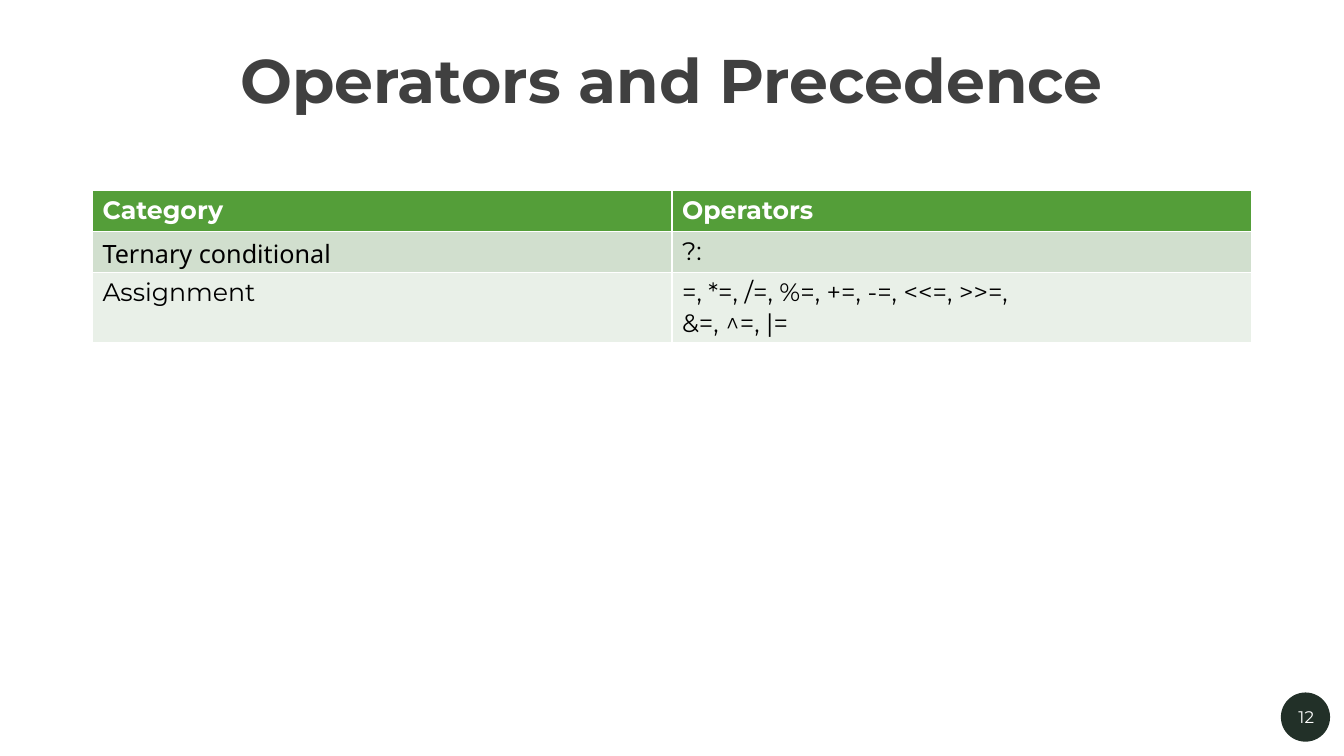
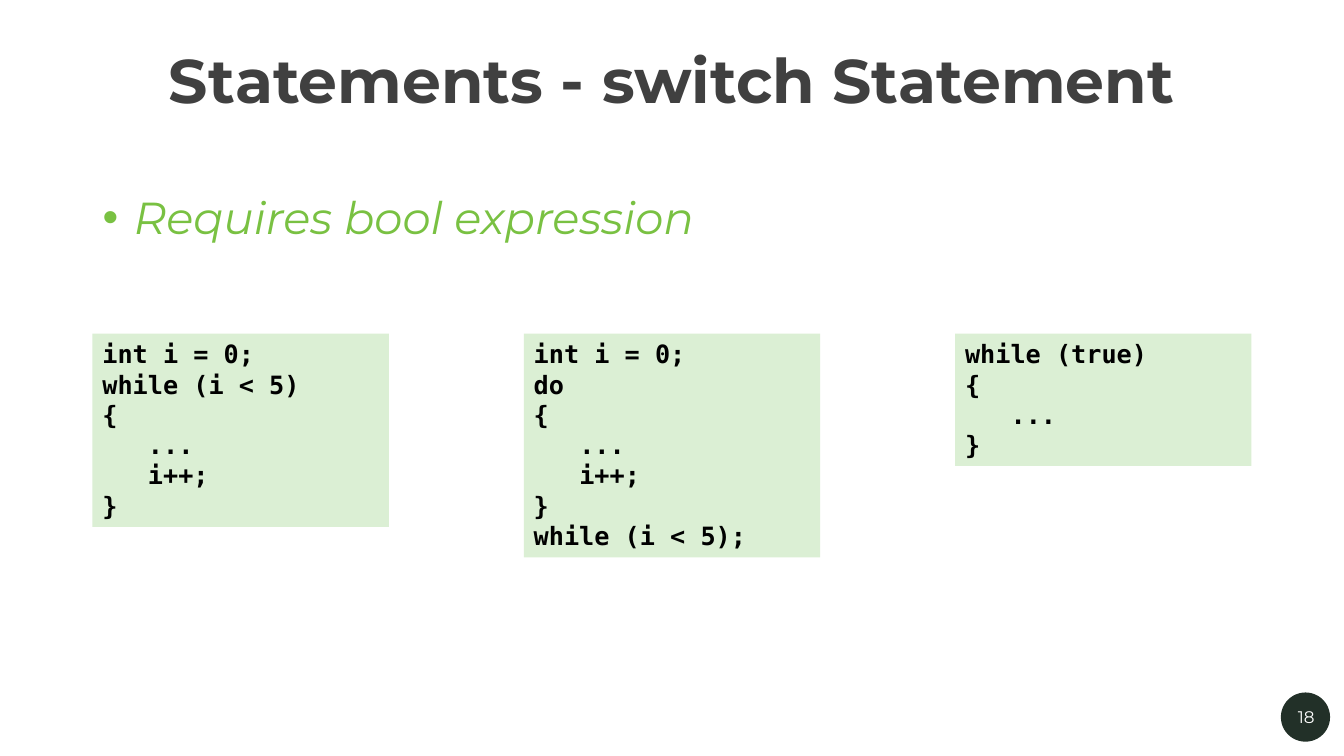
from pptx import Presentation
from pptx.dml.color import RGBColor
from pptx.enum.shapes import MSO_SHAPE
from pptx.enum.text import MSO_ANCHOR, MSO_AUTO_SIZE, PP_ALIGN
from pptx.util import Cm, Pt

RECTANGLE, OVAL = MSO_SHAPE.RECTANGLE, MSO_SHAPE.OVAL
TOP, MIDDLE = MSO_ANCHOR.TOP, MSO_ANCHOR.MIDDLE
LEFT, CENTER = PP_ALIGN.LEFT, PP_ALIGN.CENTER
NO_AUTOFIT = MSO_AUTO_SIZE.NONE

COLORS = {
    "title": "404040",
    "white": "FFFFFF",
    "black": "000000",
    "badge": "223028",
    "accent": "79C142",
    "code": "DBEFD4",
    "header": "549E39",
    "band_dark": "D1DFCE",
    "band_light": "E9F0E8",
}
MAIN_FONT, FALLBACK_FONT, CODE_FONT = "Montserrat", "Noto Sans", "DejaVu Sans Mono"

# Boxes are (left, top, width, height) in centimetres
SLIDE_WIDTH, SLIDE_HEIGHT = 33.87, 19.05
TITLE_BOX = (2.33, 0.96, 29.21, 2.31)
BODY_BOX = (2.33, 4.8, 29.21, 12.27)
CODE_BOX = (2.33, 8.41, 29.21, 8.66)
BADGE_BOX = (32.28, 17.45, 1.24, 1.24)

LAYOUT_TITLE_AND_BODY, LAYOUT_TITLE_ONLY = 1, 5


def color(name):
    return RGBColor.from_string(COLORS[name])


def lengths(box):
    return [Cm(value) for value in box]


def place(shape, box):
    shape.left, shape.top, shape.width, shape.height = lengths(box)


def write(paragraph, text, size=18, font=MAIN_FONT, fill="black", bold=False,
          italic=False, align=LEFT, line_spacing=None, space_before=None,
          margin=0, indent=0):
    """Fill one paragraph; a vertical tab in the text is a line break."""
    paragraph.text = text
    paragraph.alignment = align
    if line_spacing:
        paragraph.line_spacing = line_spacing
    if space_before is not None:
        paragraph.space_before = Pt(space_before)
    properties = paragraph._p.get_or_add_pPr()
    properties.set("marL", str(Cm(margin)))
    properties.set("indent", str(Cm(indent)))
    for run in paragraph.runs:
        run.font.size = Pt(size)
        run.font.name = font
        run.font.bold = bold
        run.font.italic = italic
        run.font.color.rgb = color(fill)


def add_panel(slide, preset, box, fill):
    shape = slide.shapes.add_shape(preset, *lengths(box))
    shape.shadow.inherit = False
    shape.fill.solid()
    shape.fill.fore_color.rgb = color(fill)
    shape.line.fill.background()
    return shape


# Parts shared by all slides
def add_title(slide, box, text):
    title = slide.shapes.title
    place(title, box)
    title.text_frame.auto_size = NO_AUTOFIT
    title.text_frame.vertical_anchor = MIDDLE
    write(title.text_frame.paragraphs[0], text, size=44, fill="title", bold=True,
          align=CENTER, line_spacing=0.9)


def add_page_badge(slide, box, number):
    left, top, width, height = box
    add_panel(slide, OVAL, box, "badge")
    label_box = (left - 0.2, top + 0.1, width + 0.44, height - 0.22)
    label = slide.shapes.add_textbox(*lengths(label_box))
    label.text_frame.word_wrap = True
    label.text_frame.vertical_anchor = MIDDLE
    write(label.text_frame.paragraphs[0], str(number), size=12, fill="white",
          align=CENTER)


def add_base_slide(presentation, layout, title, number):
    slide = presentation.slides.add_slide(presentation.slide_layouts[layout])
    add_title(slide, TITLE_BOX, title)
    add_page_badge(slide, BADGE_BOX, number)
    return slide


# Content regions
def add_operator_table(slide, box, rows):
    left, top, width, _ = box
    row_height = 1.03
    table_box = (left, top, width, row_height * len(rows))
    table = slide.shapes.add_table(len(rows), len(rows[0]), *lengths(table_box)).table
    for column in table.columns:
        column.width = Cm(width / len(rows[0]))
    for row_index, row in enumerate(rows):
        is_header = row_index == 0
        band = "band_dark" if row_index % 2 else "band_light"
        for column_index, (text, font) in enumerate(row):
            cell = table.cell(row_index, column_index)
            cell.fill.solid()
            cell.fill.fore_color.rgb = color("header" if is_header else band)
            write(cell.text_frame.paragraphs[0], text, font=font, bold=is_header,
                  fill="white" if is_header else "black")


def add_bullets(slide, box, items):
    body = slide.placeholders[1]
    place(body, box)
    frame = body.text_frame
    frame.auto_size = NO_AUTOFIT
    for index, item in enumerate(items):
        paragraph = frame.add_paragraph() if index else frame.paragraphs[0]
        write(paragraph, item, size=32, fill="accent", italic=True,
              line_spacing=0.9, space_before=10, margin=0.79, indent=-0.79)


def add_code_panel(slide, box, lines):
    """Lines that start with a tab are indented by three characters."""
    frame = add_panel(slide, RECTANGLE, box, "code").text_frame
    frame.word_wrap = True
    frame.vertical_anchor = TOP
    for index, line in enumerate(lines):
        paragraph = frame.add_paragraph() if index else frame.paragraphs[0]
        write(paragraph, line.strip("\t"), font=CODE_FONT, bold=True,
              margin=1.15 if line.startswith("\t") else 0)


def add_code_row(slide, box, listings):
    left, top, width, _ = box
    panel_width, line_height, padding = 7.47, 0.77, 0.25
    step = (width - panel_width) / (len(listings) - 1)
    for index, lines in enumerate(listings):
        height = line_height * len(lines) + padding
        add_code_panel(slide, (left + index * step, top, panel_width, height), lines)


# Slides
def build_precedence_slide(presentation):
    slide = add_base_slide(presentation, LAYOUT_TITLE_ONLY,
                           "Operators and Precedence", 12)
    add_operator_table(slide, BODY_BOX, [
        [("Category", MAIN_FONT), ("Operators", MAIN_FONT)],
        [("Ternary conditional", FALLBACK_FONT), ("?:", MAIN_FONT)],
        [("Assignment", MAIN_FONT),
         ("=, *=, /=, %=, +=, -=, <<=, >>=, \v&=, ^=, |=", MAIN_FONT)],
    ])


def build_statement_slide(presentation):
    slide = add_base_slide(presentation, LAYOUT_TITLE_AND_BODY,
                           "Statements - switch Statement", 18)
    add_bullets(slide, BODY_BOX, ["Requires bool expression"])
    add_code_row(slide, CODE_BOX, [
        ["int i = 0;", "while (i < 5)", "{", "\t...", "\ti++;", "}"],
        ["int i = 0;", "do", "{", "\t...", "\ti++;", "}", "while (i < 5);"],
        ["while (true)", "{", "\t...", "}"],
    ])


presentation = Presentation()
presentation.slide_width = Cm(SLIDE_WIDTH)
presentation.slide_height = Cm(SLIDE_HEIGHT)
build_precedence_slide(presentation)
build_statement_slide(presentation)
presentation.save("out.pptx")
